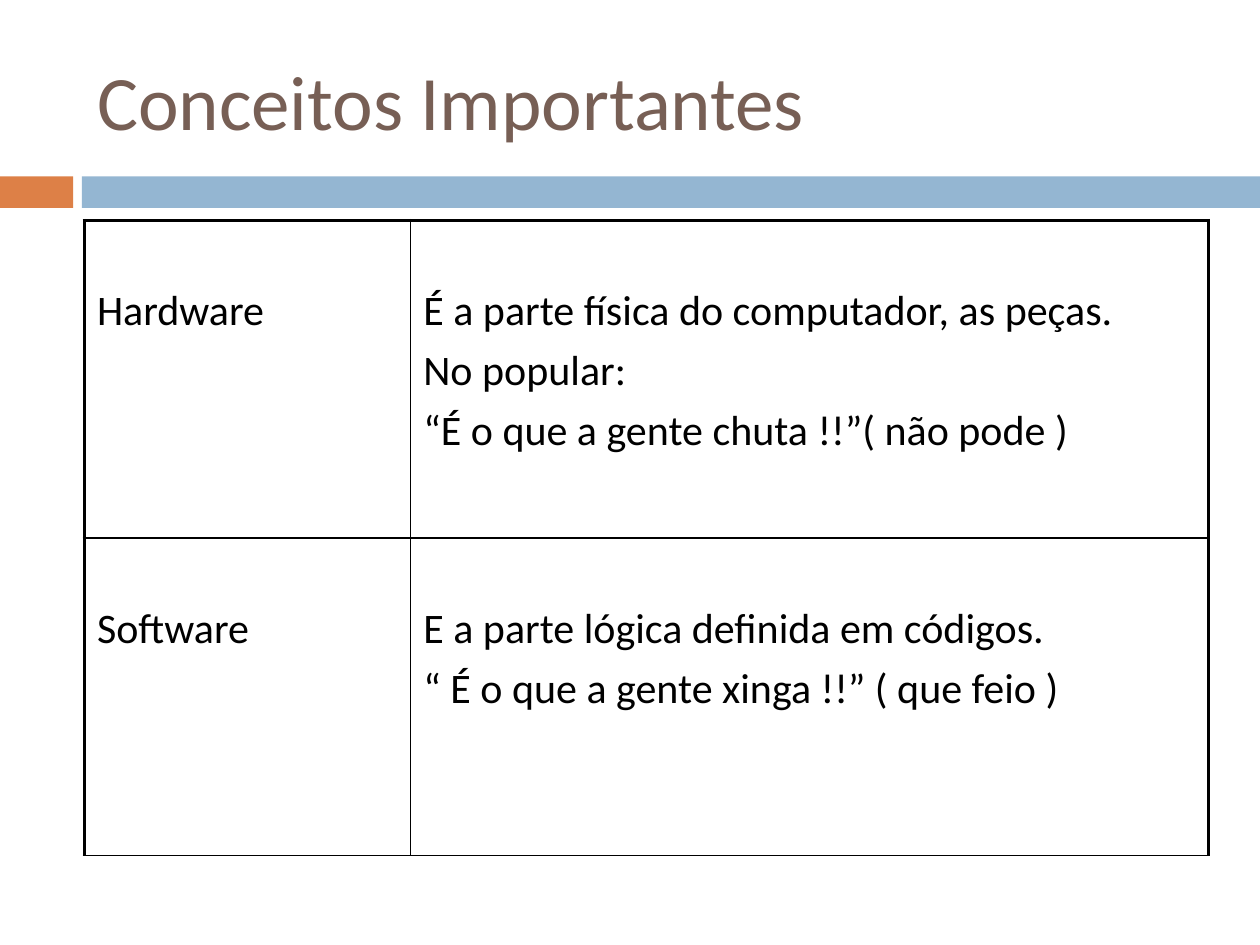
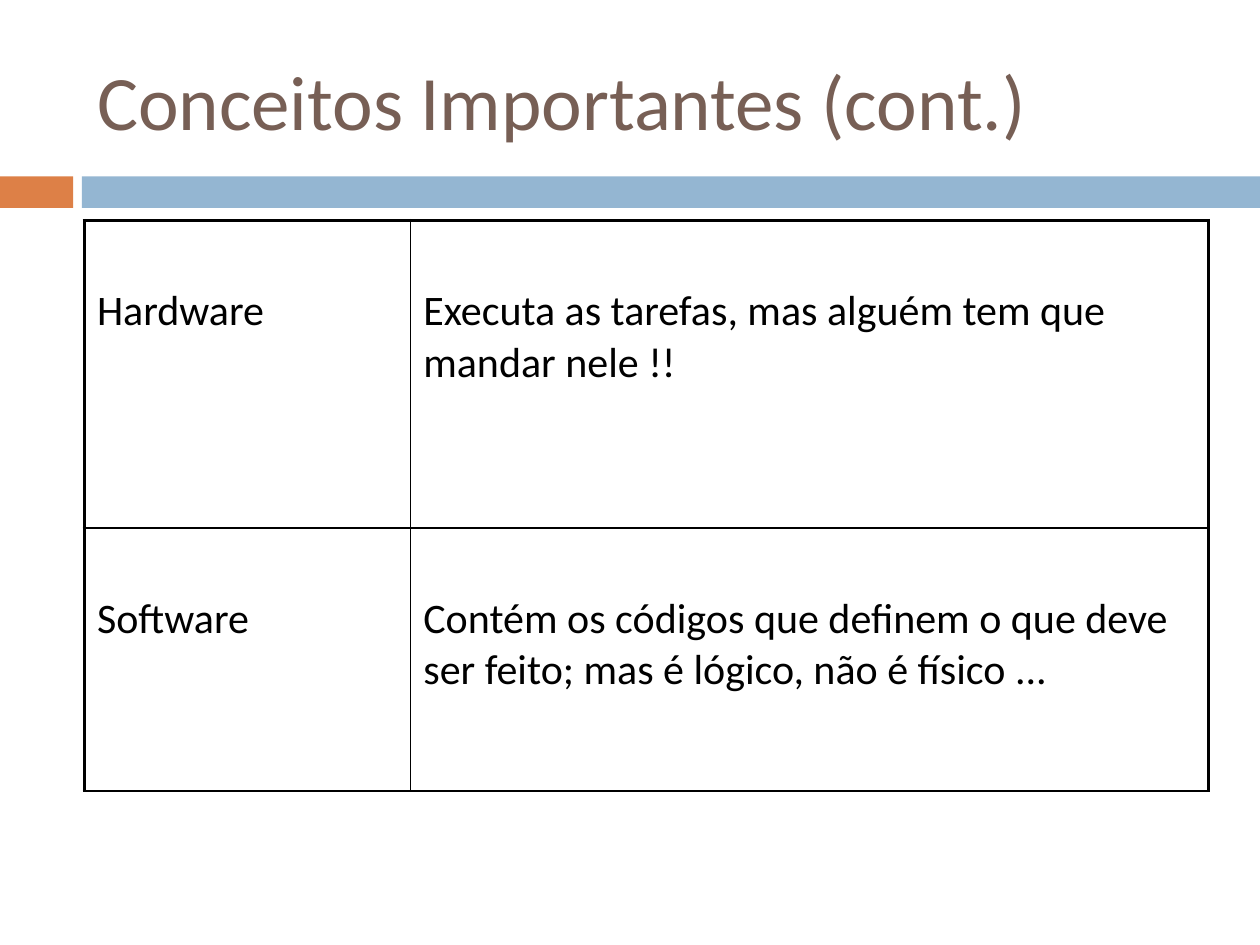
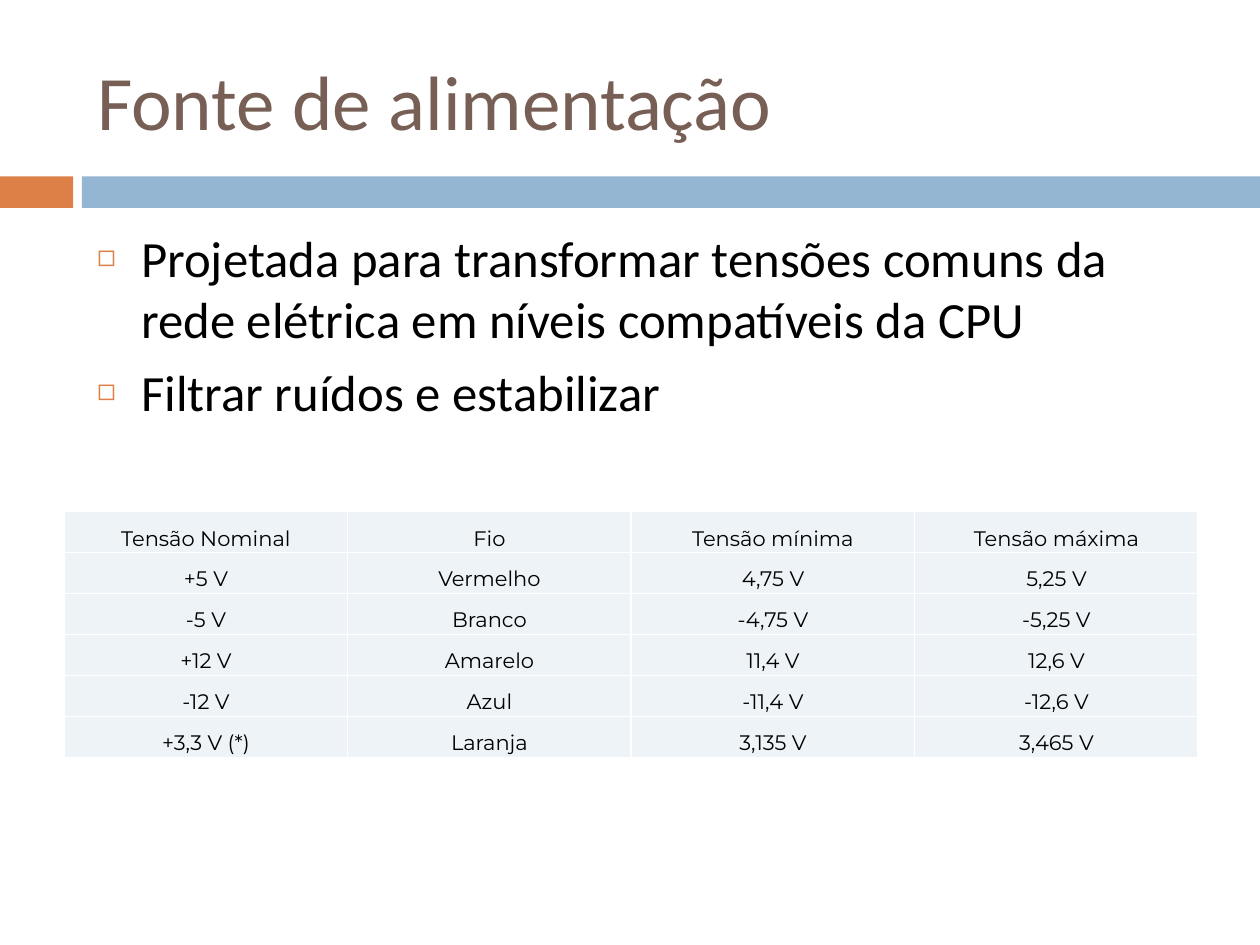
from dataclasses import dataclass
from typing import NamedTuple

import pptx
import pptx.dml.color
import pptx.enum.shapes
import pptx.enum.text
import pptx.oxml
import pptx.oxml.ns
import pptx.util

Align = pptx.enum.text.PP_ALIGN
Anchor = pptx.enum.text.MSO_ANCHOR
GRID_COLUMNS, GRID_ROWS = 100, 75
SLIDE_WIDTH = pptx.util.Inches(10)
SLIDE_HEIGHT = pptx.util.Inches(7.5)
TITLE_AND_BODY, TITLE_ONLY = 1, 5


@dataclass(frozen=True)
class Theme:
    heading: str = "775F55"
    accent: str = "DD8047"
    band: str = "94B6D2"
    ink: str = "000000"
    paper: str = "FFFFFF"
    voltage_fill: str = "EEF3F7"
    text_font: str = "Calibri"
    voltage_font: str = "Montserrat"
    title_size: float = 44
    body_size: float = 29
    concept_size: float = 24
    voltage_size: float = 12
    thick_rule: float = 2.25
    thin_rule: float = 1


THEME = Theme()


class Area(NamedTuple):
    """A rectangle in grid columns and rows."""
    left: float
    top: float
    width: float
    height: float

    def emu(self) -> tuple[int, int, int, int]:
        return across(self.left), down(self.top), across(self.width), down(self.height)


class Band(NamedTuple):
    area: Area
    color: str


class Concept(NamedTuple):
    term: str
    meaning: list[str]
    height: float


class TextStyle(NamedTuple):
    font: str
    size: float
    color: str


TITLE_AREA = Area(6.7, 2.5, 89.2, 10.8)
BODY_AREA = Area(6.7, 17.5, 89.2, 49.2)
CONCEPT_COLUMNS = [25.9, 63.3]
VOLTAGE_AREA = Area(5.1, 40.6, 90, 19.3)
BANDS = [
    Band(Area(0, 14, 5.8, 2.5), THEME.accent),
    Band(Area(6.5, 14, 93.5, 2.5), THEME.band),
]
TITLE_STYLE = TextStyle(THEME.text_font, THEME.title_size, THEME.heading)
BODY_STYLE = TextStyle(THEME.text_font, THEME.body_size, THEME.ink)
CONCEPT_STYLE = TextStyle(THEME.text_font, THEME.concept_size, THEME.ink)
VOLTAGE_STYLE = TextStyle(THEME.voltage_font, THEME.voltage_size, THEME.ink)

CONCEPT_SLIDES = {
    "Conceitos Importantes": [
        Concept("Hardware", [
            "É a parte física do computador, as peças.",
            "No popular:",
            "“É o que a gente chuta !!”( não pode )",
        ], 25.2),
        Concept("Software", [
            "E a parte lógica definida em códigos.",
            "“ É o que a gente xinga !!” ( que feio )",
        ], 25.2),
    ],
    "Conceitos Importantes (cont.)": [
        Concept("Hardware", ["Executa as tarefas, mas alguém tem que mandar nele !!"], 24.4),
        Concept("Software", [
            "Contém os códigos que definem o que deve ser feito; mas é lógico, não é físico ...",
        ], 20.9),
    ],
}
SUPPLY_TITLE = "Fonte de alimentação"
SUPPLY_ROLES = [
    "Projetada para transformar tensões comuns da rede elétrica em níveis compatíveis da CPU",
    "Filtrar ruídos e estabilizar",
]
VOLTAGES = [
    ["Tensão Nominal", "Fio", "Tensão mínima", "Tensão máxima"],
    ["+5 V", "Vermelho", "4,75 V", "5,25 V"],
    ["-5 V", "Branco", "-4,75 V", "-5,25 V"],
    ["+12 V", "Amarelo", "11,4 V", "12,6 V"],
    ["-12 V", "Azul", "-11,4 V", "-12,6 V"],
    ["+3,3 V (*)", "Laranja", "3,135 V", "3,465 V"],
]


def across(columns: float) -> int:
    return round(SLIDE_WIDTH * columns / GRID_COLUMNS)


def down(rows: float) -> int:
    return round(SLIDE_HEIGHT * rows / GRID_ROWS)


def rgb(color: str) -> pptx.dml.color.RGBColor:
    return pptx.dml.color.RGBColor.from_string(color)


def place(placeholder, area: Area) -> None:
    placeholder.left, placeholder.top, placeholder.width, placeholder.height = area.emu()


def write(frame, lines: list[str], style: TextStyle, align=Align.LEFT) -> None:
    """Fill the frame with one paragraph per line."""
    for index, line in enumerate(lines):
        paragraph = frame.add_paragraph() if index else frame.paragraphs[0]
        paragraph.alignment = align
        run = paragraph.add_run()
        run.text = line
        run.font.name = style.font
        run.font.size = pptx.util.Pt(style.size)
        run.font.bold = False
        run.font.color.rgb = rgb(style.color)


def add_master_bands(deck, slide) -> None:
    """Draw the bands on a slide and move them to the back of the master."""
    master_tree = deck.slide_master.shapes.element
    for index, band in enumerate(BANDS):
        shape = slide.shapes.add_shape(
            pptx.enum.shapes.MSO_SHAPE.RECTANGLE, *band.area.emu())
        shape.shadow.inherit = False
        shape.fill.solid()
        shape.fill.fore_color.rgb = rgb(band.color)
        shape.line.fill.background()
        shape.element.xpath(".//p:cNvPr")[0].set("id", str(100 + index))
        master_tree.insert(2 + index, shape.element)


def add_titled_slide(deck, layout: int, title: str):
    slide = deck.slides.add_slide(deck.slide_layouts[layout])
    place(slide.shapes.title, TITLE_AREA)
    frame = slide.shapes.title.text_frame
    frame.vertical_anchor = Anchor.MIDDLE
    frame.auto_size = pptx.enum.text.MSO_AUTO_SIZE.NONE
    write(frame, [title], TITLE_STYLE)
    return slide


def add_plain_table(slide, area: Area, columns: list[float], rows: list[float]):
    table = slide.shapes.add_table(len(rows), len(columns), *area.emu()).table
    table.first_row = table.horz_banding = False
    for column, width in zip(table.columns, columns):
        column.width = across(width)
    for row, height in zip(table.rows, rows):
        row.height = down(height)
    return table


def set_borders(cell, color: str, left: float, right: float, top: float, bottom: float) -> None:
    properties = cell._tc.get_or_add_tcPr()
    namespace = pptx.oxml.ns.nsdecls("a")
    for side, width in zip("LRTB", (left, right, top, bottom)):
        properties.append(pptx.oxml.parse_xml(
            f'<a:ln{side} {namespace} w="{pptx.util.Pt(width)}"><a:solidFill>'
            f'<a:srgbClr val="{color}"/></a:solidFill></a:ln{side}>'))


def add_concepts(slide, concepts: list[Concept]) -> None:
    heights = [concept.height for concept in concepts]
    area = Area(BODY_AREA.left, BODY_AREA.top, BODY_AREA.width, sum(heights))
    table = add_plain_table(slide, area, CONCEPT_COLUMNS, heights)
    thin, thick = THEME.thin_rule, THEME.thick_rule
    for row, concept in enumerate(concepts):
        for column, lines in enumerate(([concept.term], concept.meaning)):
            cell = table.cell(row, column)
            set_borders(cell, THEME.ink,
                        left=thin if column else thick,
                        right=thick if column else thin,
                        top=thin if row else thick,
                        bottom=thin)
            cell.fill.background()
            cell.margin_top = down(5.2)
            write(cell.text_frame, lines, CONCEPT_STYLE)
            for paragraph in cell.text_frame.paragraphs[1:]:
                paragraph.space_before = pptx.util.Pt(5)


def add_square_bullet(paragraph) -> None:
    properties = paragraph._p.get_or_add_pPr()
    indent = across(3.5)
    properties.set("marL", str(indent))
    properties.set("indent", str(-indent))
    namespace = pptx.oxml.ns.nsdecls("a")
    for xml in (
        f'<a:buClr {namespace}><a:srgbClr val="{THEME.accent}"/></a:buClr>',
        f'<a:buSzPct {namespace} val="60000"/>',
        f'<a:buChar {namespace} char="◻"/>',
    ):
        properties.append(pptx.oxml.parse_xml(xml))


def add_roles(slide, roles: list[str]) -> None:
    body = slide.placeholders[1]
    place(body, BODY_AREA)
    body.text_frame.auto_size = pptx.enum.text.MSO_AUTO_SIZE.NONE
    write(body.text_frame, roles, BODY_STYLE)
    for paragraph in body.text_frame.paragraphs:
        paragraph.space_before = pptx.util.Pt(7)
        add_square_bullet(paragraph)


def add_voltages(slide, voltages: list[list[str]]) -> None:
    column_count, row_count = len(voltages[0]), len(voltages)
    table = add_plain_table(
        slide, VOLTAGE_AREA,
        [VOLTAGE_AREA.width / column_count] * column_count,
        [VOLTAGE_AREA.height / row_count] * row_count)
    for row, values in enumerate(voltages):
        for column, value in enumerate(values):
            cell = table.cell(row, column)
            set_borders(cell, THEME.paper, *[THEME.thin_rule] * 4)
            cell.fill.solid()
            cell.fill.fore_color.rgb = rgb(THEME.voltage_fill)
            cell.vertical_anchor = Anchor.MIDDLE
            cell.margin_left = cell.margin_right = across(0.1)
            cell.margin_top = cell.margin_bottom = down(0.1)
            write(cell.text_frame, [value], VOLTAGE_STYLE, Align.CENTER)
            cell.text_frame.paragraphs[0].line_spacing = 1.5


def main() -> None:
    deck = pptx.Presentation()
    deck.slide_width, deck.slide_height = SLIDE_WIDTH, SLIDE_HEIGHT
    for title, concepts in CONCEPT_SLIDES.items():
        add_concepts(add_titled_slide(deck, TITLE_ONLY, title), concepts)
    supply = add_titled_slide(deck, TITLE_AND_BODY, SUPPLY_TITLE)
    add_roles(supply, SUPPLY_ROLES)
    add_voltages(supply, VOLTAGES)
    add_master_bands(deck, supply)
    deck.save("out.pptx")


if __name__ == "__main__":
    main()
